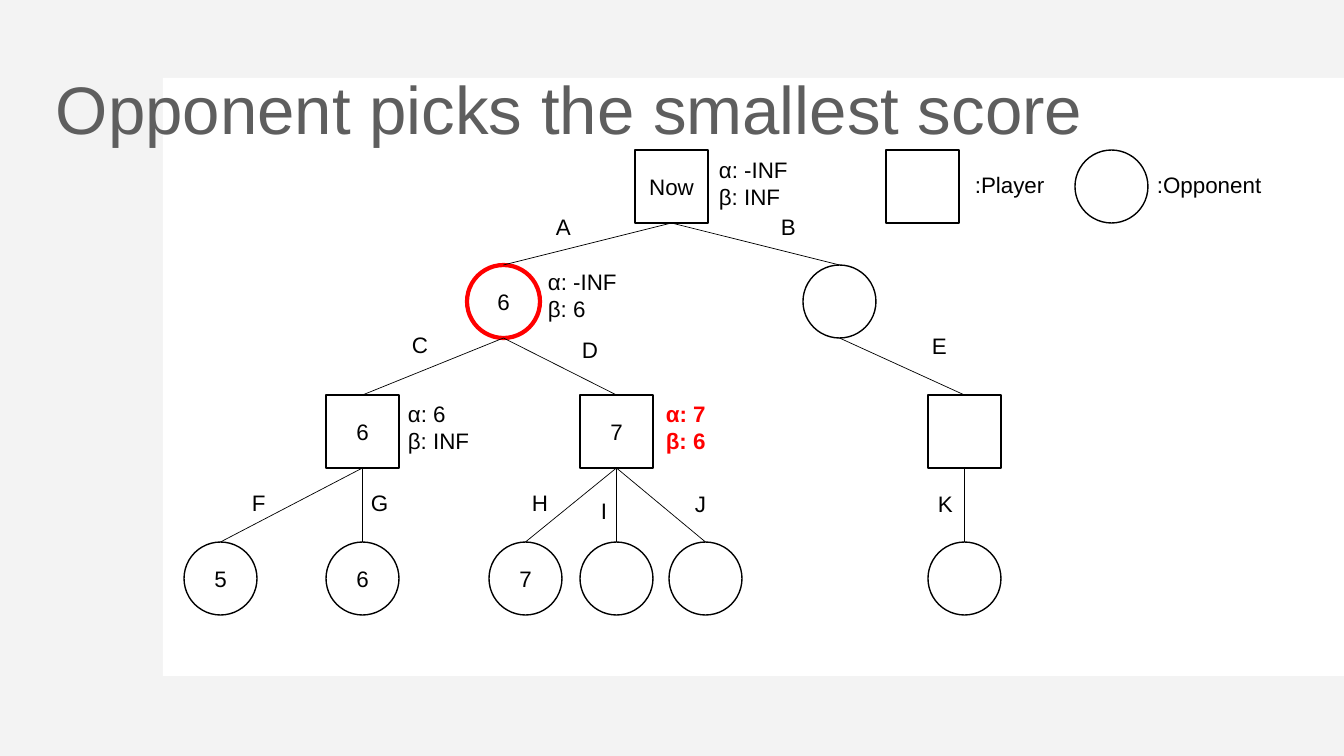
from typing import NamedTuple

import lxml.etree
import pptx
import pptx.dml.color
import pptx.enum.shapes
import pptx.enum.text
import pptx.oxml.ns
import pptx.util

SCALE = 914400 / 100.8
SIDE = 73
FONT = "Arial"
BLACK, RED, GREY = "000000", "FF0000", "5E5E5E"
TOPS = [150, 265, 395, 542]
RECT = pptx.enum.shapes.MSO_SHAPE.RECTANGLE
OVAL = pptx.enum.shapes.MSO_SHAPE.OVAL
ALIGN = pptx.enum.text.PP_ALIGN
MIDDLE = pptx.enum.text.MSO_ANCHOR.MIDDLE


class Node(NamedTuple):
    """A game state; its name is also the move that leads to it."""
    name: str
    row: int
    left: int
    parent: str = ""
    score: str = ""
    color: str = BLACK
    width: float = 1


class Note(NamedTuple):
    """Lines of text with the place and size of their box."""
    lines: list[str]
    left: int
    top: int
    width: int = 32
    height: int = 37
    color: str = BLACK
    bold: bool = False


NODES = [
    Node("Now", 0, 635, score="Now"),
    Node("A", 1, 467, "Now", "6", RED, 3),
    Node("B", 1, 803, "Now"),
    Node("C", 2, 326, "A", "6"),
    Node("D", 2, 580, "A", "7"),
    Node("E", 2, 928, "B"),
    Node("F", 3, 184, "C", "5"),
    Node("G", 3, 326, "C", "6"),
    Node("H", 3, 489, "D", "7"),
    Node("I", 3, 580, "D"),
    Node("J", 3, 669, "D"),
    Node("K", 3, 928, "E"),
]
MOVES = {
    "A": (546, 208), "B": (771, 208), "C": (402, 326), "D": (572, 331),
    "E": (922, 327), "F": (242, 484), "G": (361, 484), "H": (522, 484),
    "I": (591, 492), "J": (685, 485), "K": (928, 485),
}
BOUNDS = [
    Note(["α: -INF", "β: INF"], 709, 151, 92, 64),
    Note(["α: -INF", "β: 6"], 538, 263, 92, 64),
    Note(["α: 6", "β: INF"], 398, 395, 92, 64),
    Note(["α: 7", "β: 6"], 656, 395, 92, 64, RED, True),
]
LEGEND = [
    (RECT, 886, Note([":Player"], 965, 166, 99)),
    (OVAL, 1075, Note([":Opponent"], 1147, 166, 133)),
]


def px(size: float) -> int:
    """Turn pixels into EMU."""
    return pptx.util.Emu(round(size * SCALE))


def rgb(code: str) -> pptx.dml.color.RGBColor:
    """Turn a hex string into a colour."""
    return pptx.dml.color.RGBColor.from_string(code)


def write(para, text: str, size: int, color: str, bold: bool = False) -> None:
    """Add one run to a paragraph."""
    run = para.add_run()
    run.text = text
    run.font.name = FONT
    run.font.size = pptx.util.Pt(size)
    run.font.bold = bold
    run.font.color.rgb = rgb(color)


def panel(slide, left: int, top: int, width: int, height: int, color: str):
    """Draw a filled block of the backdrop."""
    shape = slide.shapes.add_shape(RECT, px(left), px(top), px(width), px(height))
    shape.shadow.inherit = False
    shape.fill.solid()
    shape.fill.fore_color.rgb = rgb(color)
    shape.line.fill.background()
    return shape


def fade(shape, share: int) -> None:
    """Set the opacity of a solid fill in percent."""
    qn = pptx.oxml.ns.qn
    color = shape.element.spPr.find(".//" + qn("a:srgbClr"))
    lxml.etree.SubElement(color, qn("a:alpha")).set("val", str(share * 1000))


def mark(slide, kind, left: int, top: int, text: str = "",
         color: str = BLACK, width: float = 1) -> None:
    """Draw an unfilled square or circle with centred text."""
    shape = slide.shapes.add_shape(kind, px(left), px(top), px(SIDE), px(SIDE))
    shape.shadow.inherit = False
    shape.fill.background()
    shape.line.color.rgb = rgb(color)
    shape.line.width = pptx.util.Pt(width)
    if text:
        shape.text_frame.vertical_anchor = MIDDLE
        para = shape.text_frame.paragraphs[0]
        para.alignment = ALIGN.CENTER
        write(para, text, 16, BLACK)


def link(slide, upper: Node, lower: Node) -> None:
    """Join the bottom of one node to the top of another."""
    half = SIDE / 2
    line = slide.shapes.add_connector(
        pptx.enum.shapes.MSO_CONNECTOR.STRAIGHT,
        px(upper.left + half), px(TOPS[upper.row] + SIDE),
        px(lower.left + half), px(TOPS[lower.row]))
    line.line.color.rgb = rgb(BLACK)
    line.line.width = pptx.util.Pt(0.5)
    lxml.etree.SubElement(line.element.spPr, pptx.oxml.ns.qn("a:effectLst"))


def label(slide, note: Note) -> None:
    """Place a note, one paragraph a line."""
    box = slide.shapes.add_textbox(
        px(note.left), px(note.top), px(note.width), px(note.height))
    frame = box.text_frame
    frame.word_wrap = False
    for i, text in enumerate(note.lines):
        para = frame.add_paragraph() if i else frame.paragraphs[0]
        write(para, text, 16, note.color, note.bold)


def title(slide, text: str) -> None:
    """Place the slide title."""
    box = slide.shapes.add_textbox(px(46), px(40), px(1162), px(146))
    box.text_frame.word_wrap = True
    box.text_frame.vertical_anchor = MIDDLE
    para = box.text_frame.paragraphs[0]
    para.line_spacing = 0.9
    write(para, text, 48, GREY)


def main() -> None:
    """Build the slide and save it."""
    deck = pptx.Presentation()
    deck.slide_width, deck.slide_height = px(1344), px(756)
    slide = deck.slides.add_slide(deck.slide_layouts[6])
    fade(panel(slide, 0, 0, 1344, 756, "DDDDDD"), 35)
    panel(slide, 163, 78, 1181, 598, "FFFFFF")
    title(slide, "Opponent picks the smallest score")

    tree = {node.name: node for node in NODES}
    for node in NODES:
        kind = OVAL if node.row % 2 else RECT
        mark(slide, kind, node.left, TOPS[node.row],
             node.score, node.color, node.width)
    for node in NODES:
        if node.parent:
            link(slide, tree[node.parent], node)
    for name, (left, top) in MOVES.items():
        label(slide, Note([name], left, top))
    for kind, left, note in LEGEND:
        mark(slide, kind, left, TOPS[0])
        label(slide, note)
    for note in BOUNDS:
        label(slide, note)
    deck.save("out.pptx")


main()
